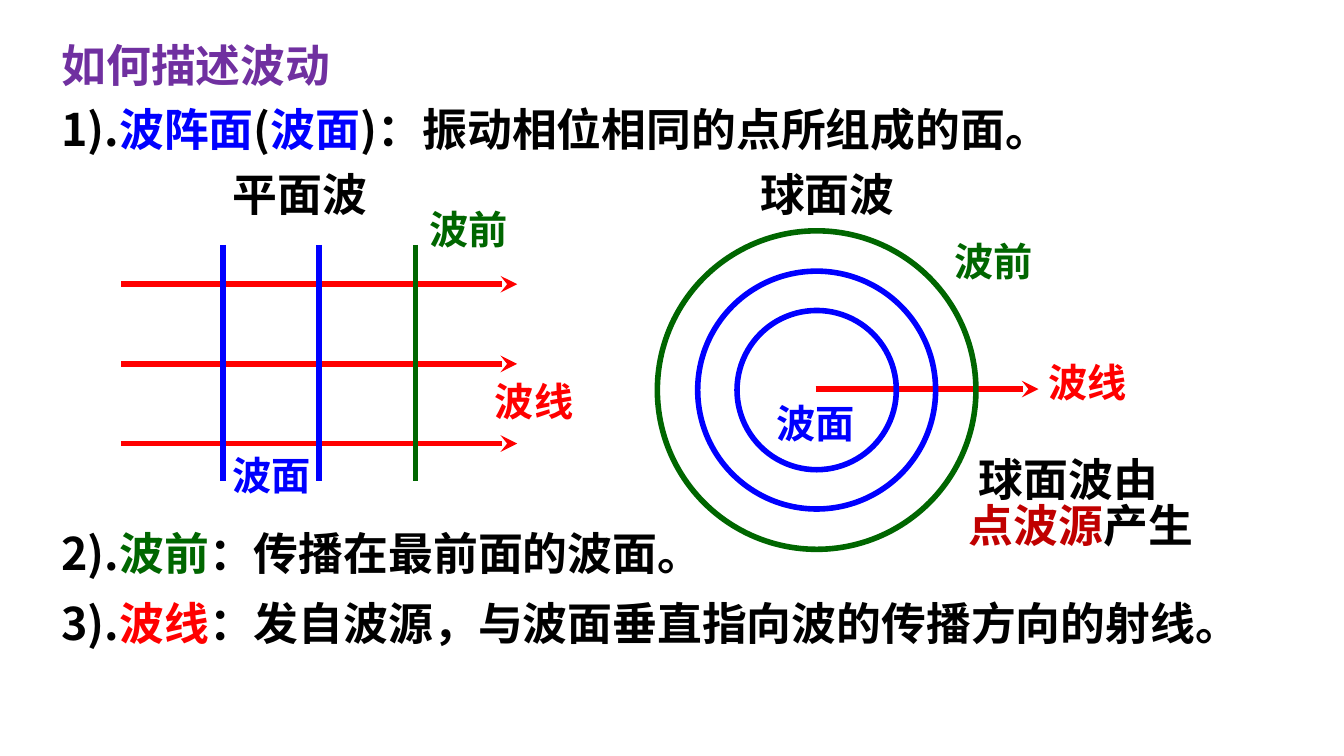
from lxml import etree
from pptx import Presentation
from pptx.dml.color import RGBColor
from pptx.enum import shapes, text
from pptx.oxml.ns import qn
from pptx.util import Inches, Pt

THEME = {
    "font": "Noto Sans CJK SC", "big": 32, "small": 28, "line": 4, "lead": 0.85,
    "title": "7030A0", "ink": "000000", "face": "0000FF",
    "front": "006600", "ray": "FF0000", "source": "C00000",
}

TITLE = "如何描述波动"
# left, top, width, lines; each line is a list of (words, colour)
NOTES = [
    (0.51, 1.0, 10.52, [[("1).", "ink"), ("波阵面", "face"), ("(", "ink"), ("波面", "face"),
                         (")：振动相位相同的点所组成的面。", "ink")]]),
    (2.21, 1.64, 1.55, [[("平面波", "ink")]]),
    (7.44, 1.64, 1.55, [[("球面波", "ink")]]),
    (0.51, 5.2, 6.71, [[("2).", "ink"), ("波前", "front"), ("：传播在最前面的波面。", "ink")]]),
    (0.51, 5.9, 12.09, [[("3).", "ink"), ("波线", "ray"),
                         ("：发自波源，与波面垂直指向波的传播方向的射线。", "ink")]]),
    (9.51, 4.43, 2.45, [[("球面波由", "ink")], [("点波源", "source"), ("产生", "ink")]]),
]
NAMES = {"ray": "波线", "face": "波面", "front": "波前"}
LABELS = [("ray", 4.81, 3.73), ("face", 2.21, 4.46), ("front", 4.16, 2.02),
          ("front", 9.37, 2.34), ("face", 7.6, 3.95), ("ray", 10.3, 3.54)]
PLANES = ["face", "face", "front"]
RINGS = [("face", 0.79), ("face", 1.18), ("front", 1.58)]
CENTER = (8.1, 3.87)


def color(key):
    return RGBColor.from_string(THEME[key])


def write(box, lines, size="big", indent=0):
    """Fill a box with coloured lines; indent shifts the first line, in inches."""
    frame = box.text_frame
    frame.word_wrap = False
    frame.auto_size = text.MSO_AUTO_SIZE.NONE
    frame.vertical_anchor = text.MSO_ANCHOR.MIDDLE
    for i, line in enumerate(lines):
        para = frame.add_paragraph() if i else frame.paragraphs[0]
        para.alignment = text.PP_ALIGN.LEFT
        para.line_spacing = THEME["lead"]
        if indent and i == 0:
            para._p.get_or_add_pPr().set("marL", str(Inches(indent)))
        for words, key in line:
            run = para.add_run()
            run.text = words
            font = run.font
            font.size, font.bold, font.name = Pt(THEME[size]), True, THEME["font"]
            font.color.rgb = color(key)
            east = etree.SubElement(run._r.get_or_add_rPr(), qn("a:ea"))
            east.set("typeface", THEME["font"])


def place(slide, left, top, width, height):
    return slide.shapes.add_textbox(*map(Inches, (left, top, width, height)))


def draw(slide, start, end, key, arrow=False):
    line = slide.shapes.add_connector(shapes.MSO_CONNECTOR.STRAIGHT, *map(Inches, start + end))
    line.line.color.rgb = color(key)
    line.line.width = Pt(THEME["line"])
    if arrow:
        etree.SubElement(line.line._get_or_add_ln(), qn("a:tailEnd")).set("type", "stealth")
    etree.SubElement(line._element.spPr, qn("a:effectLst"))


def ring(slide, key, radius):
    left, top = (c - radius for c in CENTER)
    oval = slide.shapes.add_shape(shapes.MSO_SHAPE.OVAL,
                                  *map(Inches, (left, top, 2 * radius, 2 * radius)))
    oval.shadow.inherit = False
    oval.fill.background()
    oval.line.color.rgb = color(key)
    oval.line.width = Pt(THEME["line"])


def main():
    deck = Presentation()
    deck.slide_width, deck.slide_height = Inches(13.33), Inches(7.5)
    slide = deck.slides.add_slide(deck.slide_layouts[5])

    title = slide.shapes.title
    title.left, title.top, title.width, title.height = map(Inches, (0.51, 0.36, 2.89, 0.64))
    write(title, [[(TITLE, "title")]])

    for i in range(3):
        y = 2.82 + 0.79 * i
        draw(slide, (1.2, y), (5.13, y), "ray", arrow=True)
    for i, key in enumerate(PLANES):
        x = 2.21 + 0.955 * i
        draw(slide, (x, 2.43), (x, 4.77), key)

    draw(slide, (8.09, 3.86), (10.3, 3.86), "ray", arrow=True)
    for key, radius in RINGS:
        ring(slide, key, radius)

    for left, top, width, lines in NOTES:
        box = place(slide, left, top, width, 0.1 + 0.54 * len(lines))
        write(box, lines, indent=0.1 if len(lines) > 1 else 0)
    for key, left, top in LABELS:
        write(place(slide, left, top, 0.99, 0.57), [[(NAMES[key], key)]], size="small")

    deck.save("out.pptx")


if __name__ == "__main__":
    main()
